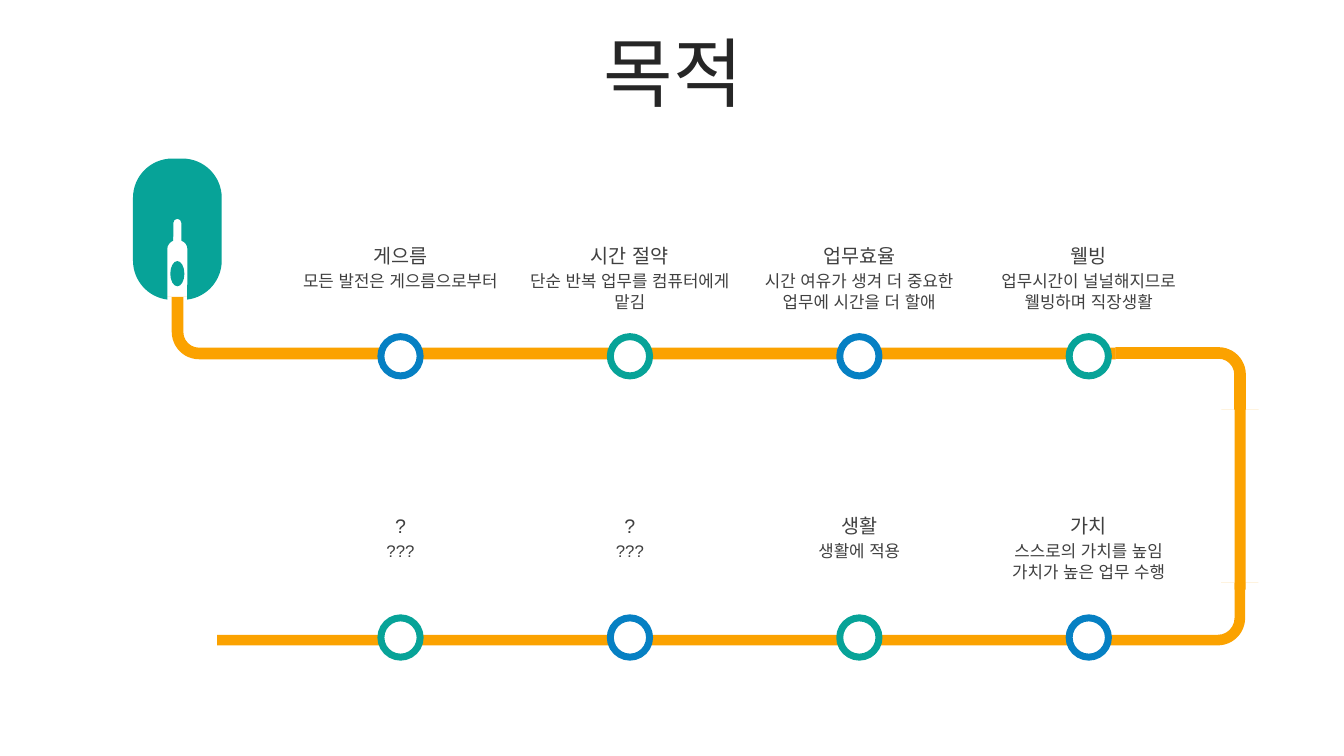
from dataclasses import dataclass
from math import cos, radians, sin, tan

from lxml import etree
from pptx import Presentation
from pptx import util as u
from pptx.dml.color import RGBColor
from pptx.enum import shapes, text
from pptx.oxml.ns import qn

SLIDE_WIDTH, SLIDE_HEIGHT = u.Emu(12192000), u.Emu(6858000)
COLORS = {
    "title": "262626",
    "caption": "404040",
    "cable": "FBA200",
    "blue": "0680C3",
    "green": "07A398",
    "white": "FFFFFF",
}
FONT = "Arial"

# Positions are percentages of the slide's width (x) and height (y).
FIRST_COLUMN, COLUMN_PITCH = 29.8, 17.07
CAPTION_WIDTH, STOP_DIAMETER = 17.25, 2.92
HEADING_HEIGHT, DETAIL_OFFSET = 4.53, 3.6


@dataclass(frozen=True)
class Area:
    left: float
    top: float
    width: float
    height: float

    def emu(self) -> tuple[int, int, int, int]:
        return (share_x(self.left), share_y(self.top),
                share_x(self.width), share_y(self.height))


@dataclass(frozen=True)
class Bend:
    area: Area
    rotation: int
    thickness: float
    flipped: bool = False


@dataclass(frozen=True)
class Stop:
    heading: str
    detail: str
    lines: int = 1


@dataclass(frozen=True)
class Row:
    caption_top: float
    stop_top: float
    stops: tuple[Stop, ...]


@dataclass(frozen=True)
class Arc:
    """Elliptic arc around the mouse axis, in percent of the slide's height."""
    dx: float
    y: float
    radius_x: float
    radius_y: float
    start: int
    end: int

    def points(self) -> list[tuple[float, float]]:
        """Start, two control points and end of the matching Bezier curve."""
        a, b = radians(self.start), radians(self.end)
        pull = 4 / 3 * tan((b - a) / 4)
        unit = ((cos(a), sin(a)),
                (cos(a) - pull * sin(a), sin(a) + pull * cos(a)),
                (cos(b) + pull * sin(b), sin(b) - pull * cos(b)),
                (cos(b), sin(b)))
        return [(self.dx + self.radius_x * x, self.y + self.radius_y * y) for x, y in unit]


BENDS = (
    Bend(Area(16.16, 77.1, 77.48, 8.27), 90, 0.17, flipped=True),
    Bend(Area(11.83, 39.25, 71.18, 8.27), 270, 0.186),
    Bend(Area(83, 45.92, 10.65, 8.27), 90, 0.186),
)
CABLE_SIDE = Area(91.86, 54, 0.83, 24)
ROWS = (
    Row(31.6, 44.53, (
        Stop("게으름", "모든 발전은 게으름으로부터"),
        Stop("시간 절약", "단순 반복 업무를 컴퓨터에게 맡김", 2),
        Stop("업무효율", "시간 여유가 생겨 더 중요한 업무에 시간을 더 할애", 2),
        Stop("웰빙", "업무시간이 널널해지므로 웰빙하며 직장생활", 2),
    )),
    Row(67.33, 81.73, (
        Stop("?", "???"),
        Stop("?", "???"),
        Stop("생활", "생활에 적용"),
        Stop("가치", "스스로의 가치를 높임\n가치가 높은 업무 수행", 2),
    )),
)
MOUSE_AXIS = 13.2
MOUSE_HALF = (
    Arc(0.67, 26.17, 5.2, 5.2, -90, 0),
    Arc(0.67, 34.47, 5.2, 5.2, 0, 83),
    Arc(0, 32.93, 1.33, 1.2, 0, -66),
    Arc(0, 29.47, 0.53, 0.53, 0, -90),
)
MOUSE_DOT = tuple(Arc(0, 36.2, 0.93, 1.67, angle, angle + 90) for angle in range(0, 360, 90))


def share_x(percent: float) -> int:
    return round(SLIDE_WIDTH * percent / 100)


def share_y(percent: float) -> int:
    return round(SLIDE_HEIGHT * percent / 100)


def paint(shape, fill: str, line: str | None = None) -> None:
    shape.shadow.inherit = False
    shape.fill.solid()
    shape.fill.fore_color.rgb = RGBColor.from_string(COLORS[fill])
    if line:
        shape.line.color.rgb = RGBColor.from_string(COLORS[line])
        shape.line.width = u.Pt(5)
    else:
        shape.line.fill.background()


def add_words(parent, area: Area, words: str, size: int, color: str):
    box = parent.add_textbox(*area.emu())
    frame = box.text_frame
    frame.word_wrap = True
    frame.text = words
    for paragraph in frame.paragraphs:
        paragraph.alignment = text.PP_ALIGN.CENTER
        paragraph.font.name = FONT
        paragraph.font.size = u.Pt(size)
        paragraph.font.color.rgb = RGBColor.from_string(COLORS[color])
    for defaults in box.element.xpath(".//a:defRPr"):
        for script in ("a:ea", "a:cs"):
            etree.SubElement(defaults, qn(script), typeface=FONT)
    return frame


def add_title(parent) -> None:
    frame = add_words(parent, Area(2.63, 4.93, 94.95, 10.53), "목적", 54, "title")
    frame.vertical_anchor = text.MSO_ANCHOR.MIDDLE
    frame.paragraphs[0].line_spacing = 0.9


def add_bend(parent, bend: Bend) -> None:
    """Draw a quarter-turned bent arrow so that it covers the bend's area."""
    left, top, width, height = bend.area.emu()
    inset = (width - height) // 2
    arrow = parent.add_shape(shapes.MSO_SHAPE.BENT_ARROW,
                             left + inset, top - inset, height, width)
    arrow.rotation = bend.rotation
    for index, value in enumerate((bend.thickness, 0.298, 0, 0.438)):
        arrow.adjustments[index] = value
    if bend.flipped:
        arrow.element.spPr.xfrm.set("flipH", "1")
    paint(arrow, "cable")


def add_cable(parent) -> None:
    cable = parent.add_group_shape().shapes
    for bend in BENDS:
        add_bend(cable, bend)
    paint(cable.add_shape(shapes.MSO_SHAPE.RECTANGLE, *CABLE_SIDE.emu()), "cable")


def add_stop(parent, row: Row, column: int, color: str) -> None:
    center = FIRST_COLUMN + column * COLUMN_PITCH
    diameter = share_x(STOP_DIAMETER)
    ring = parent.add_shape(shapes.MSO_SHAPE.OVAL, share_x(center) - diameter // 2,
                            share_y(row.stop_top), diameter, diameter)
    paint(ring, "white", color)


def add_caption(parent, row: Row, column: int, stop: Stop) -> None:
    caption = parent.add_group_shape().shapes
    left = FIRST_COLUMN + column * COLUMN_PITCH - CAPTION_WIDTH / 2
    heading = Area(left, row.caption_top, CAPTION_WIDTH, HEADING_HEIGHT)
    detail = Area(left, row.caption_top + DETAIL_OFFSET, CAPTION_WIDTH,
                  1.33 + 2.67 * stop.lines)
    for area, words, size in ((heading, stop.heading, 14), (detail, stop.detail, 12)):
        frame = add_words(caption, area, words, size, "caption")
        frame.auto_size = text.MSO_AUTO_SIZE.SHAPE_TO_FIT_TEXT


def bend_outline(shape) -> None:
    """Turn each group of four vertices into a corner and a Bezier curve."""
    vertices = shape.element.xpath(".//a:moveTo | .//a:lnTo")
    for first in range(0, len(vertices), 4):
        curve = etree.Element(qn("a:cubicBezTo"))
        vertices[first].addnext(curve)
        for vertex in vertices[first + 1:first + 4]:
            curve.append(vertex[0])
            vertex.getparent().remove(vertex)


def add_mouse(parent) -> None:
    right = [point for arc in MOUSE_HALF for point in arc.points()]
    left = [(-dx, y) for dx, y in reversed(right)]
    dot_points = [point for arc in MOUSE_DOT for point in arc.points()]
    body, dot = ([(share_x(MOUSE_AXIS) + share_y(dx), share_y(y)) for dx, y in outline]
                 for outline in (right + left, dot_points))
    builder = parent.build_freeform(*body[0])
    builder.add_line_segments(body[1:])
    builder.move_to(*dot[0])
    builder.add_line_segments(dot[1:])
    mouse = builder.convert_to_shape()
    bend_outline(mouse)
    paint(mouse, "green")


def main() -> None:
    deck = Presentation()
    deck.slide_width, deck.slide_height = SLIDE_WIDTH, SLIDE_HEIGHT
    canvas = deck.slides.add_slide(deck.slide_layouts[6]).shapes
    add_title(canvas)
    add_cable(canvas)
    for row_index, row in enumerate(ROWS):
        for column in range(len(row.stops)):
            add_stop(canvas, row, column, ("blue", "green")[(row_index + column) % 2])
        for column, stop in enumerate(row.stops):
            add_caption(canvas, row, column, stop)
    add_mouse(canvas)
    deck.save("out.pptx")


if __name__ == "__main__":
    main()
